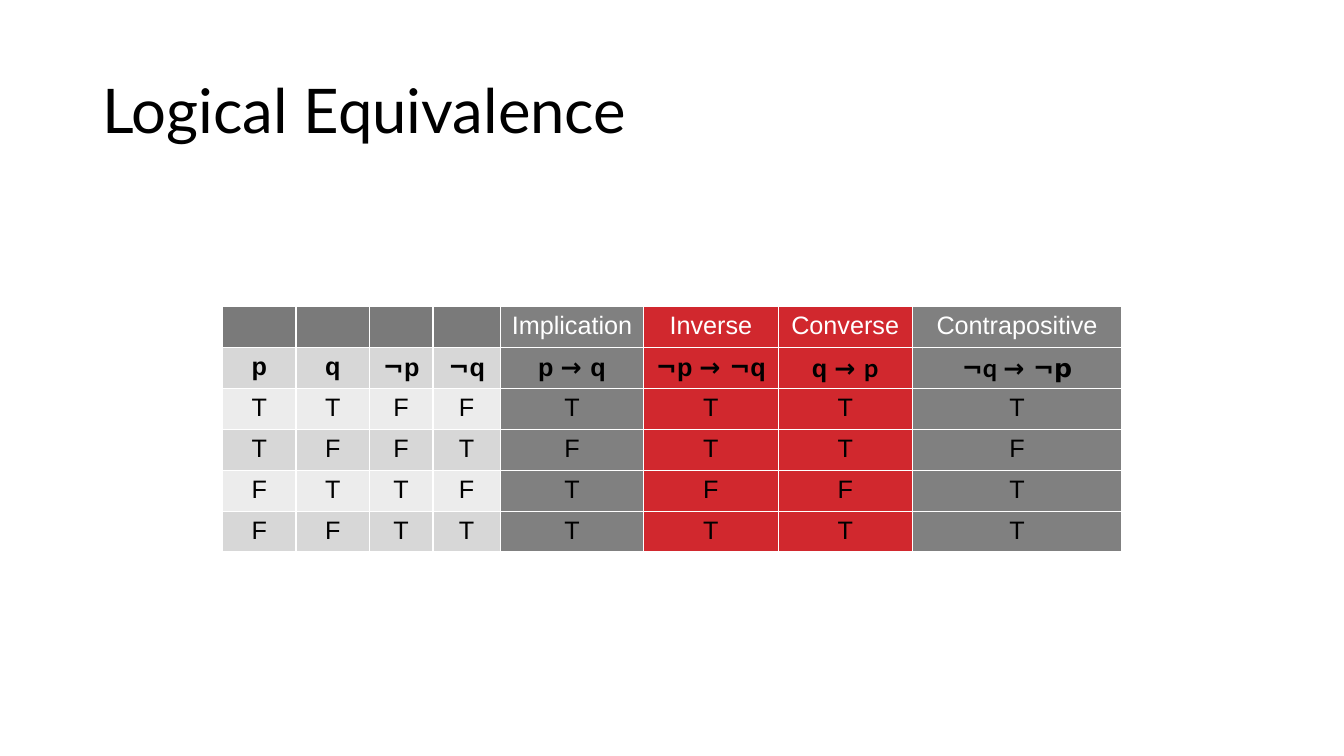
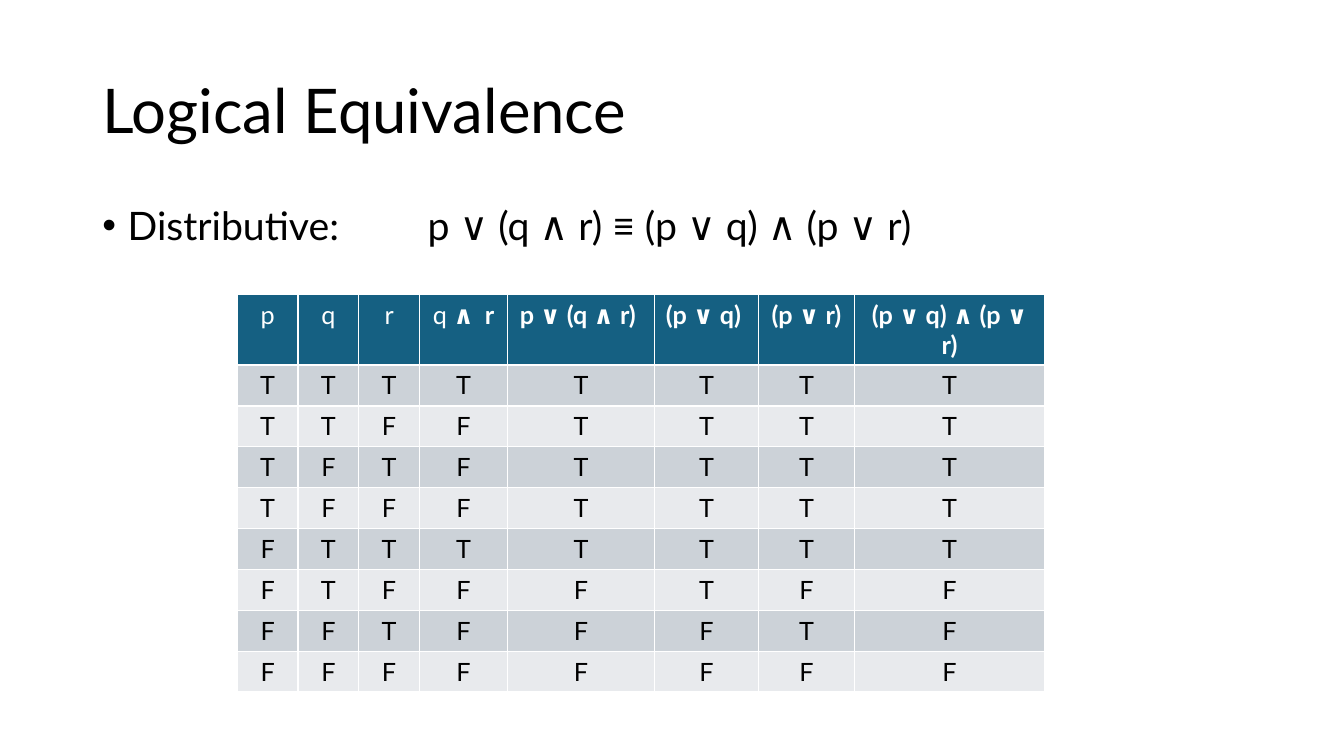
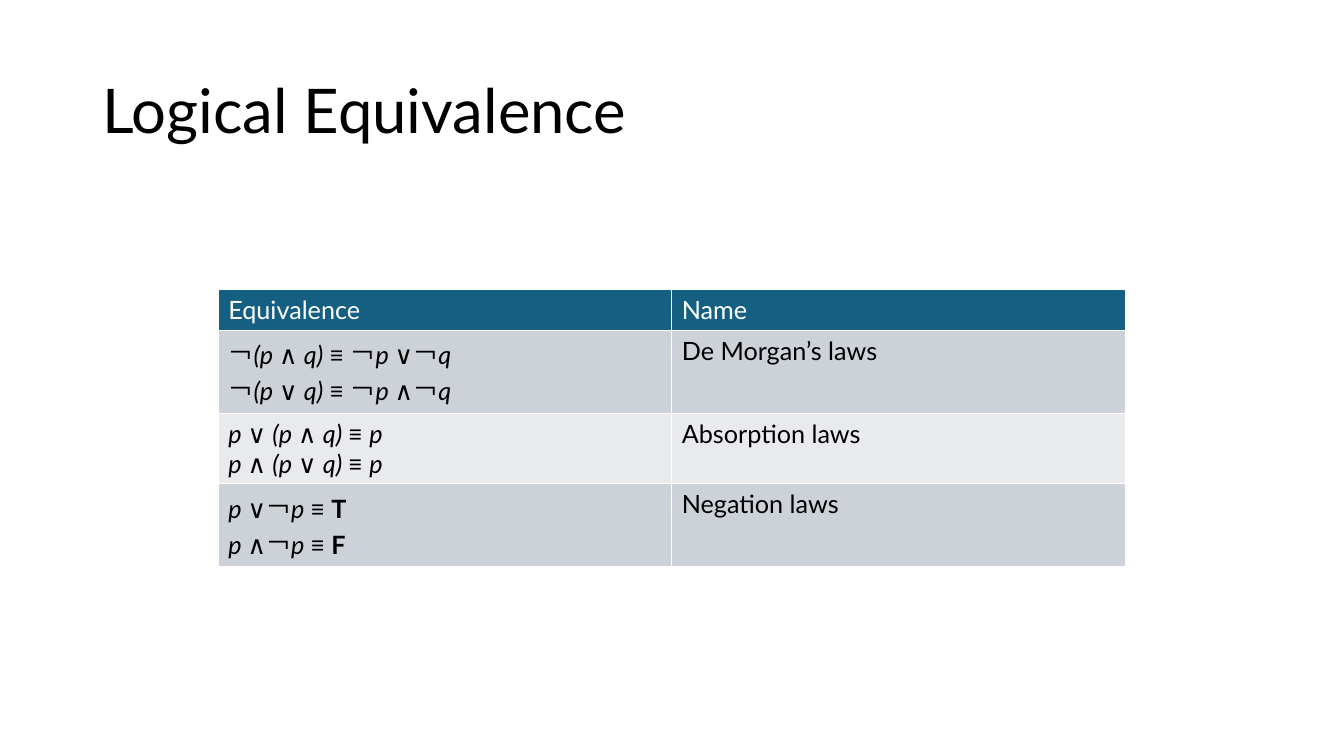
from itertools import cycle

from lxml import etree
from pptx import Presentation
from pptx.dml.color import RGBColor
from pptx.enum.text import MSO_ANCHOR, PP_ALIGN
from pptx.oxml.ns import qn
from pptx.util import Cm, Pt

LEFT, CENTER = PP_ALIGN.LEFT, PP_ALIGN.CENTER
MIDDLE = MSO_ANCHOR.MIDDLE
TITLE_ONLY = 5

BODY_FONT, TRUTH_FONT, SYMBOL_FONT = "Lato", "Arial", "DejaVu Sans"
BLACK, WHITE = "000000", "FFFFFF"
BLUE, BLUE_BANDS = "156082", ("CCD2D8", "E8EAED")
GRAY, GRAY_BANDS = "7A7A7A", ("D7D7D7", "ECECEC")
RED, MID_GRAY = "D1282E", "808080"

ROW_HEIGHT = 1.03
TITLE_BOX = (2.33, 1.01, 29.21, 3.68)

PLAIN, BOLD, ITALIC = {"bold": False}, {"bold": True}, {"italic": True}
LETTER, SYMBOL = {"name": TRUTH_FONT}, {"name": SYMBOL_FONT}
LATO = {"name": BODY_FONT}


def rgb(color):
    return RGBColor.from_string(color)


def style_font(font, name, size, color, bold=False):
    font.name, font.size, font.bold = name, Pt(size), bold
    font.color.rgb = rgb(color)


def alternate(text, *styles):
    """Split text at each bar and give the pieces the styles in turn."""
    return [(piece, style) for piece, style in zip(text.split("|"), cycle(styles)) if piece]


def symbolic(text):
    return alternate(text, LETTER, SYMBOL)


def law(text):
    return alternate(text, {}, ITALIC)


def add_titled_slide(deck):
    slide = deck.slides.add_slide(deck.slide_layouts[TITLE_ONLY])
    title = slide.shapes.title
    title.left, title.top, title.width, title.height = map(Cm, TITLE_BOX)
    title.text_frame.text = "Logical Equivalence"
    title.text_frame.vertical_anchor = MIDDLE
    heading = title.text_frame.paragraphs[0]
    heading.alignment, heading.line_spacing = LEFT, 0.9
    style_font(heading.font, BODY_FONT, 44, BLACK)
    return slide


def add_bullet(slide, text, left, top, width, height, tab):
    frame = slide.shapes.add_textbox(Cm(left), Cm(top), Cm(width), Cm(height)).text_frame
    frame.word_wrap = True
    paragraph = frame.paragraphs[0]
    paragraph.text = text
    paragraph.line_spacing = 0.9
    properties = paragraph._p.get_or_add_pPr()
    properties.set("marL", str(Cm(0.64)))
    properties.set("indent", str(Cm(-0.64)))
    etree.SubElement(properties, qn("a:buFont"), typeface="Arial")
    etree.SubElement(properties, qn("a:buChar"), char="•")
    tabs = etree.SubElement(properties, qn("a:tabLst"))
    etree.SubElement(tabs, qn("a:tab"), pos=str(Cm(tab)), algn="l")
    style_font(paragraph.font, BODY_FONT, 28, BLACK)


def fill_cell(cell, content, fill, color, font_name, align):
    """Write content: plain text, or a list of paragraphs that are lists of styled runs."""
    cell.fill.solid()
    cell.fill.fore_color.rgb = rgb(fill)
    lines = [[(content, {})]] if isinstance(content, str) else content
    for number, line in enumerate(lines):
        frame = cell.text_frame
        paragraph = frame.add_paragraph() if number else frame.paragraphs[0]
        paragraph.alignment = align
        style_font(paragraph.font, font_name, 18, color)
        for text, style in line:
            if not text:
                continue
            run = paragraph.add_run()
            run.text = text
            # The table style sets weight and colour, so each run states its own.
            style_font(run.font, font_name, 18, color)
            for attribute, value in style.items():
                setattr(run.font, attribute, value)


def add_grid(slide, left, top, widths, heights, rows, header_fill, bands,
             column_fills=None, font_name=BODY_FONT, align=CENTER):
    """Place a table with a header row, banded rows and optional fixed column fills."""
    table = slide.shapes.add_table(len(rows), len(widths), Cm(left), Cm(top),
                                   Cm(sum(widths)), Cm(sum(heights))).table
    table.horz_banding = False
    for column, width in zip(table.columns, widths):
        column.width = Cm(width)
    for row, height in zip(table.rows, heights):
        row.height = Cm(height)
    for r, contents in enumerate(rows):
        row_fill = bands[(r - 1) % 2] if r else header_fill
        for c, content in enumerate(contents):
            fill = (column_fills or {}).get(c, row_fill)
            fill_cell(table.cell(r, c), content, fill, BLACK if r else WHITE, font_name, align)


def build_implications(deck):
    formulas = [
        [("p", {})],
        [("q", {})],
        symbolic("|¬|p"),
        symbolic("|¬|q"),
        symbolic("p |→ |q"),
        symbolic("|¬|p |→ ¬|q"),
        symbolic("q |→ ") + [("p", LATO)],
        [("¬", SYMBOL), ("q ", LATO), ("→ ¬p", SYMBOL)],
    ]
    rows = [
        ["", "", "", "", "Implication", "Inverse", "Converse", "Contrapositive"],
        [[[(text, style | BOLD) for text, style in formula]] for formula in formulas],
        "TTFFTTTT",
        "TFFTFTTF",
        "FTTFTFFT",
        "FFTTTTTT",
    ]
    add_grid(add_titled_slide(deck), 5.61, 7.73,
             [1.85, 1.85, 1.6, 1.7, 3.61, 3.39, 3.38, 5.28], [ROW_HEIGHT] * len(rows),
             rows, GRAY, GRAY_BANDS,
             {4: MID_GRAY, 5: RED, 6: RED, 7: MID_GRAY}, TRUTH_FONT)


def build_distributive(deck):
    slide = add_titled_slide(deck)
    add_bullet(slide, "Distributive:\tp ∨ (q ∧ r) ≡ (p ∨ q) ∧ (p ∨ r)",
               2.33, 5.08, 29.21, 1.6, tab=8.2)
    q_and_r = [("q ", PLAIN), ("∧", BOLD), (" ", BOLD | {"size": Pt(14)}), (" r", BOLD)]
    compounds = ["p ∨ (q ∧ r) ", "(p ∨ q) ", "(p ∨ r)", "(p ∨ q) ∧ (p ∨ r)"]
    rows = [
        ["p", "q", "r", [q_and_r]] + [[[(formula, BOLD)]] for formula in compounds],
        "TTTTTTTT",
        "TTFFTTTT",
        "TFTFTTTT",
        "TFFFTTTT",
        "FTTTTTTT",
        "FTFFFTFF",
        "FFTFFFTF",
        "FFFFFFFF",
    ]
    add_grid(slide, 5.98, 7.42, [1.53, 1.53, 1.53, 2.22, 3.7, 2.63, 2.41, 4.8],
             [ROW_HEIGHT] * len(rows), rows, BLUE, BLUE_BANDS)


def build_laws(deck):
    rows = [
        ["Equivalence", "Name"],
        [[law("￢|(p |∧ |q) |≡ ￢|p |∨￢|q"), law("￢|(p |∨ |q) |≡ ￢|p |∧￢|q")],
         "De Morgan’s laws"],
        [[law("|p |∨ |(p |∧ |q) |≡ |p"), law("|p |∧ |(p |∨ |q) |≡ |p")],
         "Absorption laws"],
        [[law("|p |∨￢|p |≡ ") + [("T", BOLD)], law("|p |∧￢|p |≡ ") + [("F", BOLD)]],
         "Negation laws"],
    ]
    add_grid(add_titled_slide(deck), 5.5, 7.29, [11.43] * 2, [ROW_HEIGHT] + [1.78] * 3,
             rows, BLUE, BLUE_BANDS, align=LEFT)


def main():
    deck = Presentation()
    deck.slide_width, deck.slide_height = Cm(33.87), Cm(19.05)
    build_implications(deck)
    build_distributive(deck)
    build_laws(deck)
    deck.save("out.pptx")


if __name__ == "__main__":
    main()
